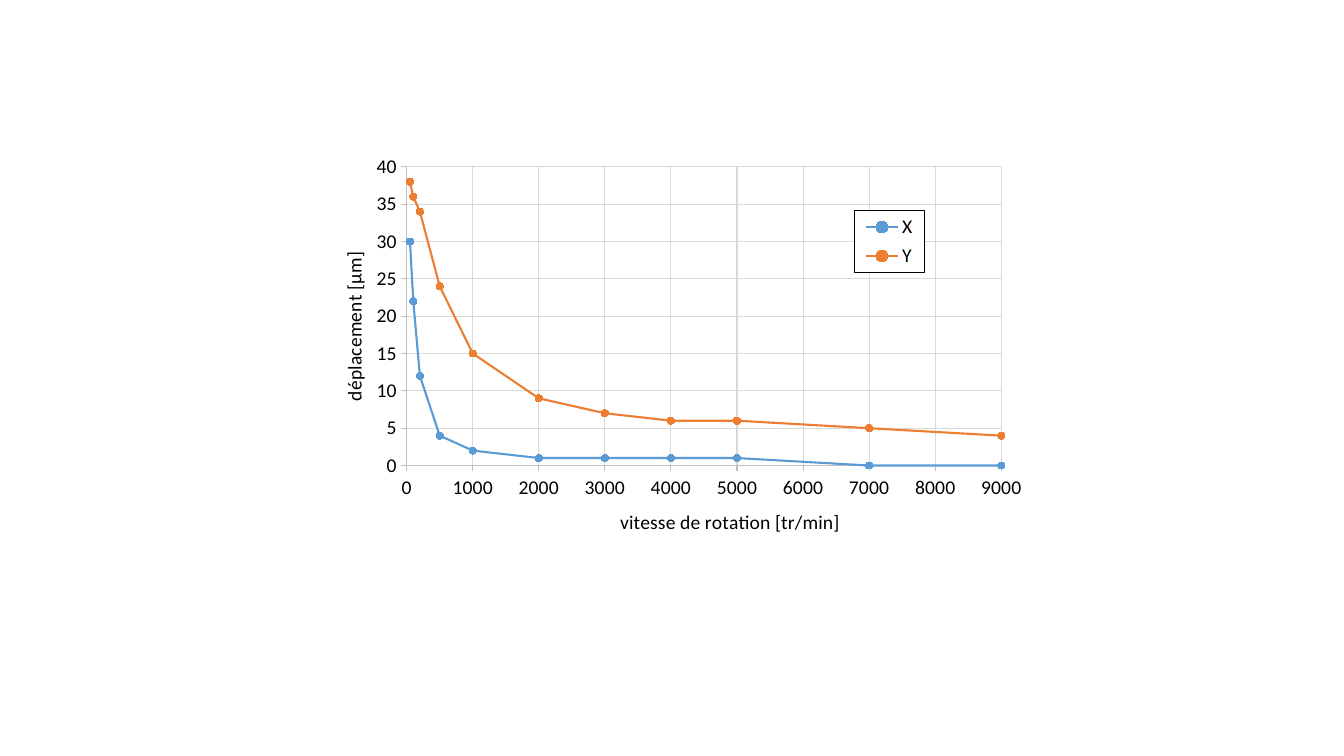
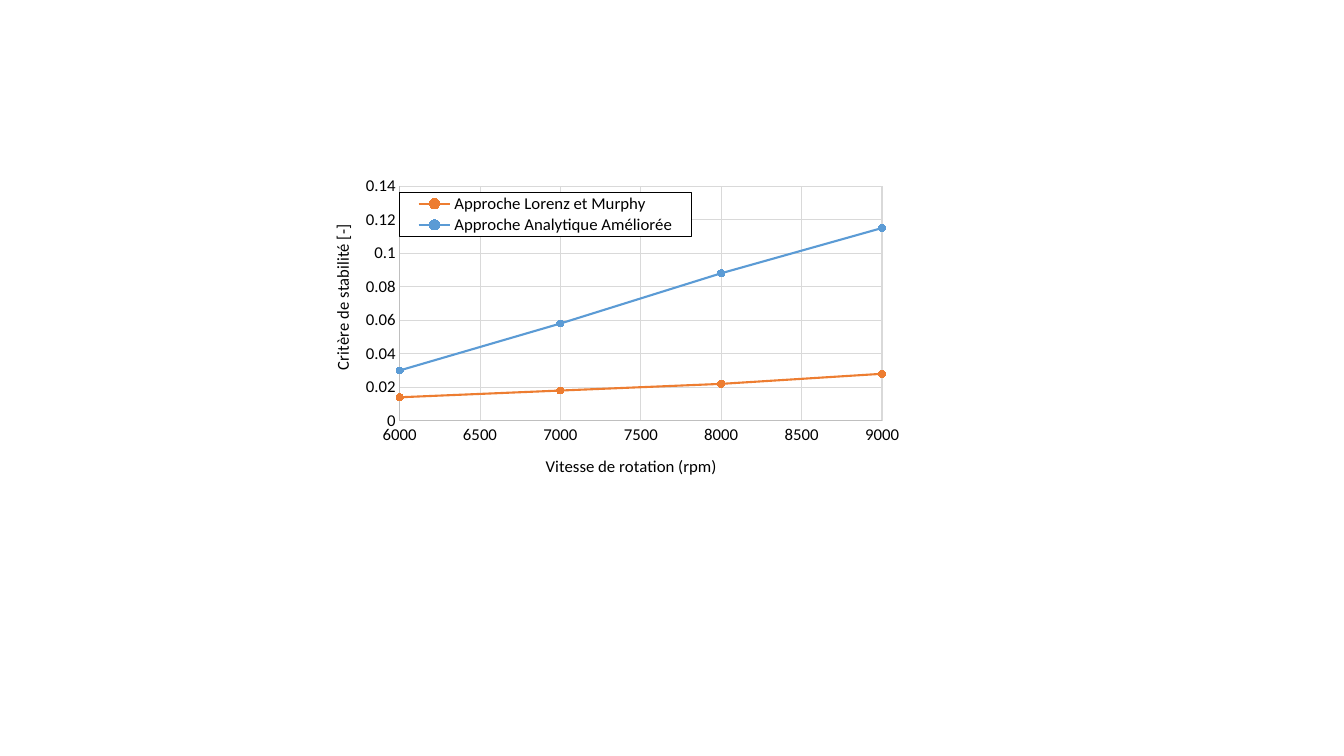
from lxml.etree import SubElement
from pptx import Presentation
from pptx.chart.data import XyChartData
from pptx.dml.color import RGBColor
from pptx.enum.chart import XL_CHART_TYPE, XL_LEGEND_POSITION, XL_MARKER_STYLE, XL_TICK_MARK
from pptx.oxml import parse_xml
from pptx.oxml.ns import nsdecls, qn
from pptx.util import Cm, Pt

BLACK = RGBColor(0x00, 0x00, 0x00)
BLUE = RGBColor(0x5B, 0x9B, 0xD5)
ORANGE = RGBColor(0xED, 0x7D, 0x31)
AXIS_GRAY = RGBColor(0xBF, 0xBF, 0xBF)
GRID_GRAY = RGBColor(0xD9, 0xD9, 0xD9)
FONT_NAME = "Calibri"
BLANK_LAYOUT = 6


def format_font(font, size):
    font.name = FONT_NAME
    font.size = Pt(size)
    font.bold = False
    font.color.rgb = BLACK


def format_line(line, color, width=0.75):
    line.color.rgb = color
    line.width = Pt(width)


def place(element, after, position, inner=False):
    """Give a chart part a fixed place, as fractions of the chart."""
    for old_layout in element.findall(qn("c:layout")):
        element.remove(old_layout)
    layout = parse_xml(f"<c:layout {nsdecls('c')}/>")
    if after is None:
        element.insert(0, layout)
    else:
        after.addnext(layout)
    manual = SubElement(layout, qn("c:manualLayout"))
    if inner:
        SubElement(manual, qn("c:layoutTarget")).set("val", "inner")
    for name in ("xMode", "yMode"):
        SubElement(manual, qn(f"c:{name}")).set("val", "edge")
    for name, value in zip("xywh", position):
        SubElement(manual, qn(f"c:{name}")).set("val", str(value))


def format_axis(axis, title, title_position, size, tick, minimum=None, maximum=None, step=None):
    axis.minimum_scale = minimum
    axis.maximum_scale = maximum
    axis.major_unit = step
    axis.major_tick_mark = tick
    axis.minor_tick_mark = XL_TICK_MARK.NONE
    axis.has_major_gridlines = True
    format_line(axis.major_gridlines.format.line, GRID_GRAY)
    format_line(axis.format.line, AXIS_GRAY)
    format_font(axis.tick_labels.font, size)
    axis.tick_labels.number_format = "General"
    axis.tick_labels.number_format_is_linked = False
    text_frame = axis.axis_title.text_frame
    text_frame.text = title
    format_font(text_frame.paragraphs[0].runs[0].font, size)
    title_element = axis.axis_title._element
    place(title_element, title_element.find(qn("c:tx")), title_position)


def format_legend(chart, side, position, size):
    chart.has_legend = True
    legend = chart.legend
    legend.position = side
    legend.include_in_layout = True
    format_font(legend.font, size)
    element = legend._element
    place(element, element.find(qn("c:legendPos")), position)
    element.find(qn("c:overlay")).addnext(parse_xml(
        f"<c:spPr {nsdecls('c', 'a')}>"
        '<a:solidFill><a:srgbClr val="FFFFFF"/></a:solidFill>'
        f'<a:ln w="9525"><a:solidFill><a:srgbClr val="{BLACK}"/></a:solidFill></a:ln>'
        "</c:spPr>"))


def format_series(series, color, smooth):
    series.smooth = smooth
    format_line(series.format.line, color, 1.5)
    marker = series.marker
    marker.style = XL_MARKER_STYLE.CIRCLE
    marker.size = 5
    marker.format.fill.solid()
    marker.format.fill.fore_color.rgb = color
    format_line(marker.format.line, color)


def add_curves(presentation, box, speeds, curves, size, plot, legend, x_axis, y_axis, tick,
               smooth=False):
    """Add a slide with one scatter chart; curves are (name, colour, values)."""
    data = XyChartData()
    for name, _, values in curves:
        series_data = data.add_series(name)
        for speed, value in zip(speeds, values):
            series_data.add_data_point(speed, value)
    chart_type = XL_CHART_TYPE.XY_SCATTER_SMOOTH if smooth else XL_CHART_TYPE.XY_SCATTER_LINES
    slide = presentation.slides.add_slide(presentation.slide_layouts[BLANK_LAYOUT])
    chart = slide.shapes.add_chart(chart_type, *map(Cm, box), data).chart
    chart.has_title = False
    format_font(chart.font, size)
    chart.plots[0].vary_by_categories = False
    for series, (_, color, _) in zip(chart.plots[0].series, curves):
        format_series(series, color, smooth)
    format_axis(chart.category_axis, size=size, tick=tick, **x_axis)
    format_axis(chart.value_axis, size=size, tick=tick, **y_axis)
    format_legend(chart, *legend, size)
    place(chart._chartSpace.chart.plotArea, None, plot, inner=True)


def main():
    presentation = Presentation()
    presentation.slide_width = Cm(33.87)
    presentation.slide_height = Cm(19.05)

    add_curves(
        presentation, (8.31, 3.61, 17.63, 10.01),
        speeds=(50, 100, 200, 500, 1000, 2000, 3000, 4000, 5000, 7000, 9000),
        curves=[("X", BLUE, (30, 22, 12, 4, 2, 1, 1, 1, 1, 0, 0)),
                ("Y", ORANGE, (38, 36, 34, 24, 15, 9, 7, 6, 6, 5, 4))],
        size=14,
        plot=(0.11, 0.06, 0.85, 0.76),
        legend=(XL_LEGEND_POSITION.RIGHT, (0.75, 0.17, 0.1, 0.16)),
        x_axis=dict(title="vitesse de rotation [tr/min]", title_position=(0.41, 0.92),
                    minimum=0, maximum=9000, step=1000),
        y_axis=dict(title="déplacement [µm]", title_position=(0.01, 0.27),
                    minimum=0, maximum=40, step=5),
        tick=XL_TICK_MARK.OUTSIDE)

    add_curves(
        presentation, (7.82, 4.14, 15.01, 8),
        speeds=(6000, 7000, 8000, 9000),
        curves=[("Approche Lorenz et Murphy", ORANGE, (0.014, 0.018, 0.022, 0.028)),
                ("Approche Analytique Améliorée", BLUE, (0.03, 0.058, 0.088, 0.115))],
        size=12,
        plot=(0.15, 0.07, 0.81, 0.75),
        legend=(XL_LEGEND_POSITION.TOP, (0.15, 0.09, 0.49, 0.14)),
        x_axis=dict(title="Vitesse de rotation (rpm)", title_position=(0.39, 0.92),
                    minimum=6000, maximum=9000, step=500),
        y_axis=dict(title="Critère de stabilité [-]", title_position=(0.03, 0.19),
                    minimum=0, maximum=0.14, step=0.02),
        tick=XL_TICK_MARK.NONE,
        smooth=True)

    presentation.save("out.pptx")


if __name__ == "__main__":
    main()
